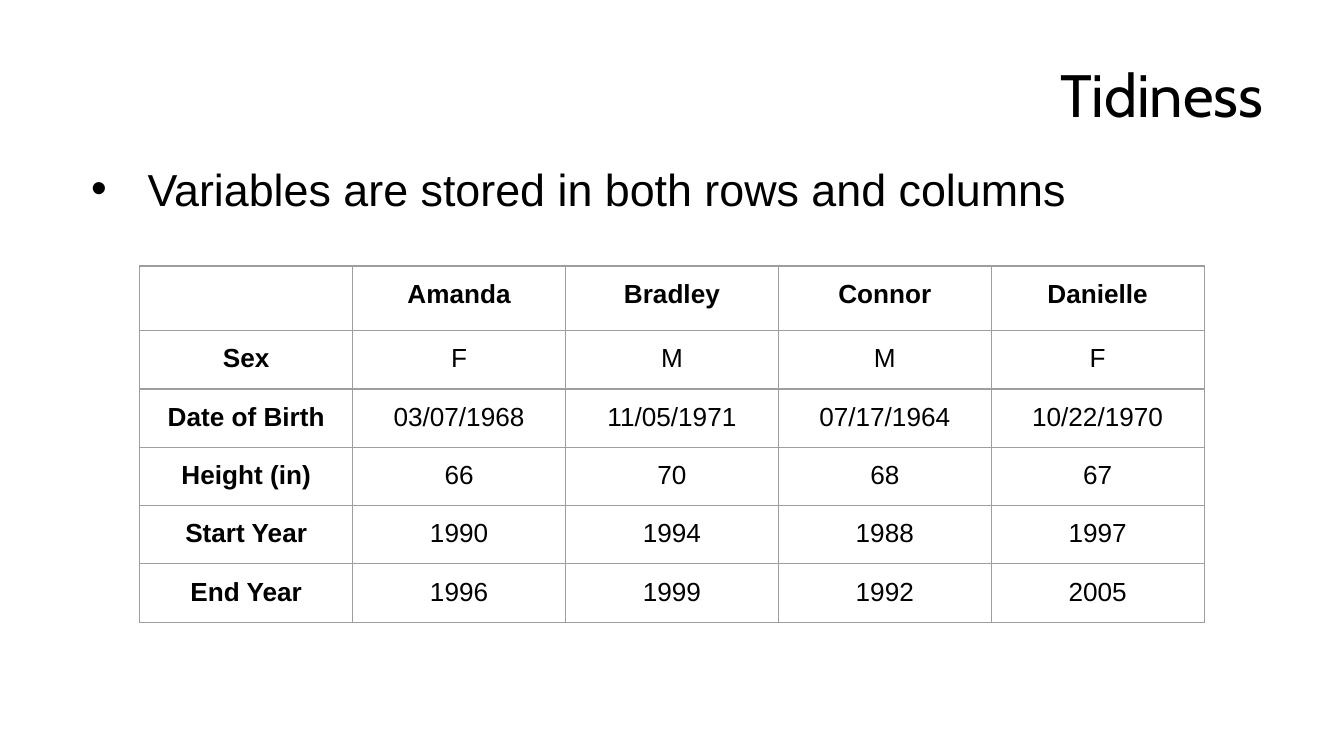
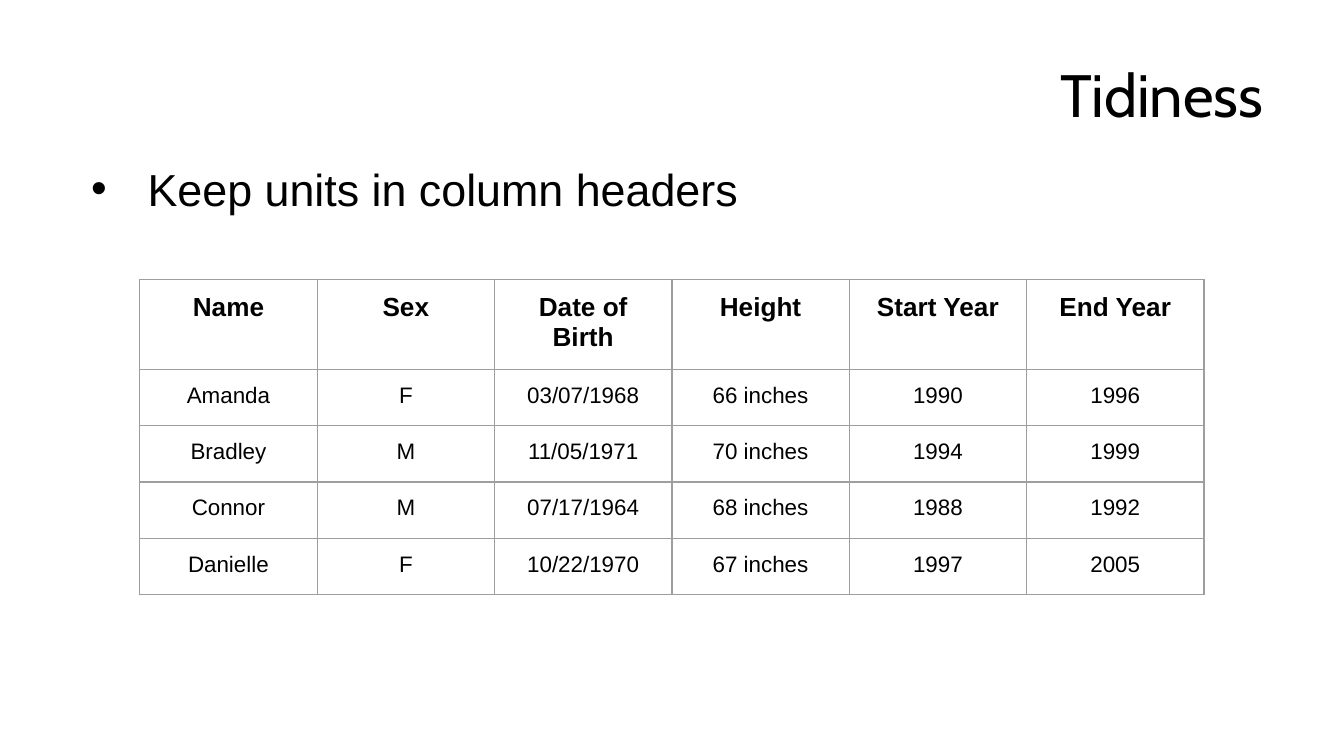
from lxml import etree
from pptx import Presentation
from pptx.dml.color import RGBColor
from pptx.enum.text import MSO_ANCHOR, PP_ALIGN
from pptx.oxml.ns import qn
from pptx.util import Inches, Pt

CENTER, LEFT, RIGHT = PP_ALIGN.CENTER, PP_ALIGN.LEFT, PP_ALIGN.RIGHT
MIDDLE, TOP = MSO_ANCHOR.MIDDLE, MSO_ANCHOR.TOP

BLACK, WHITE, GREY = "000000", "FFFFFF", "9E9E9E"
TITLE_FONT, BODY_FONT = "Cabin", "Arial"
WIDTH, HEIGHT = 10, 5.625
MARGIN = 0.5
TABLE_LEFT = 1.04
ROW_HEIGHT = 0.42
INSET = Inches(0.1)
BORDER_WIDTH = Pt(0.75)

SLIDES = [
    {
        "title": "Tidiness",
        "bullet": "Variables are stored in both rows and columns",
        "top": 1.98,
        "header_height": 0.48,
        "value_size": 14,
        "bold_first_column": True,
        "rows": [
            ("", "Amanda", "Bradley", "Connor", "Danielle"),
            ("Sex", "F", "M", "M", "F"),
            ("Date of Birth", "03/07/1968", "11/05/1971", "07/17/1964", "10/22/1970"),
            ("Height (in)", "66", "70", "68", "67"),
            ("Start Year", "1990", "1994", "1988", "1997"),
            ("End Year", "1996", "1999", "1992", "2005"),
        ],
    },
    {
        "title": "Tidiness",
        "bullet": "Keep units in column headers",
        "top": 2.08,
        "header_height": ROW_HEIGHT,
        "value_size": 12,
        "bold_first_column": False,
        "rows": [
            ("Name", "Sex", "Date of Birth", "Height", "Start Year", "End Year"),
            ("Amanda", "F", "03/07/1968", "66 inches", "1990", "1996"),
            ("Bradley", "M", "11/05/1971", "70 inches", "1994", "1999"),
            ("Connor", "M", "07/17/1964", "68 inches", "1988", "1992"),
            ("Danielle", "F", "10/22/1970", "67 inches", "1997", "2005"),
        ],
    },
]


def color(value):
    return RGBColor.from_string(value)


def set_insets(holder):
    holder.margin_left = holder.margin_right = INSET
    holder.margin_top = holder.margin_bottom = INSET


def format_text(paragraph, size, font, align, bold=False):
    paragraph.alignment = align
    for span in paragraph.runs:
        span.font.size = Pt(size)
        span.font.name = font
        span.font.bold = bold
        span.font.color.rgb = color(BLACK)


def add_text(slide, text, top, height, size, font, align, anchor):
    box = slide.shapes.add_textbox(
        Inches(MARGIN), Inches(top), Inches(WIDTH - 2 * MARGIN), Inches(height))
    frame = box.text_frame
    frame.word_wrap = True
    frame.vertical_anchor = anchor
    set_insets(frame)
    frame.text = text
    format_text(frame.paragraphs[0], size, font, align)
    return frame.paragraphs[0]


def add_solid(parent, value):
    fill = etree.SubElement(parent, qn("a:solidFill"))
    etree.SubElement(fill, qn("a:srgbClr"), val=value)


def add_bullet(paragraph):
    properties = paragraph._p.get_or_add_pPr()
    properties.set("marL", str(Inches(0.5)))
    properties.set("indent", str(Inches(-0.42)))
    bullet_color = etree.SubElement(properties, qn("a:buClr"))
    etree.SubElement(bullet_color, qn("a:srgbClr"), val=BLACK)
    etree.SubElement(properties, qn("a:buFont"), typeface=BODY_FONT)
    etree.SubElement(properties, qn("a:buChar"), char="•")


def add_borders(cell):
    properties = cell._tc.get_or_add_tcPr()
    for side in ("a:lnL", "a:lnR", "a:lnT", "a:lnB"):
        line = etree.SubElement(properties, qn(side), w=str(BORDER_WIDTH))
        add_solid(line, GREY)


def fill_cell(cell, text, size, bold):
    add_borders(cell)
    cell.fill.background()
    if text:
        set_insets(cell)
        cell.text = text
        format_text(cell.text_frame.paragraphs[0], size, BODY_FONT, CENTER, bold)


def add_data_table(slide, content):
    rows = content["rows"]
    width = WIDTH - 2 * TABLE_LEFT
    table = slide.shapes.add_table(
        len(rows), len(rows[0]), Inches(TABLE_LEFT), Inches(content["top"]),
        Inches(width), Inches(ROW_HEIGHT * len(rows))).table
    table.first_row = table.horz_banding = False
    for column in table.columns:
        column.width = Inches(width / len(rows[0]))
    for r, values in enumerate(rows):
        table.rows[r].height = Inches(ROW_HEIGHT if r else content["header_height"])
        size = content["value_size"] if r else 14
        for c, text in enumerate(values):
            bold = r == 0 or (c == 0 and content["bold_first_column"])
            fill_cell(table.cell(r, c), text, size, bold)


def add_slide(deck, content):
    slide = deck.slides.add_slide(deck.slide_layouts[6])
    slide.background.fill.solid()
    slide.background.fill.fore_color.rgb = color(WHITE)
    add_text(slide, content["title"], 0.23, 0.94, 32, TITLE_FONT, RIGHT, MIDDLE)
    add_bullet(add_text(slide, content["bullet"], 1.1, 3.71, 24, BODY_FONT, LEFT, TOP))
    add_data_table(slide, content)


def main():
    deck = Presentation()
    deck.slide_width, deck.slide_height = Inches(WIDTH), Inches(HEIGHT)
    for content in SLIDES:
        add_slide(deck, content)
    deck.save("out.pptx")


if __name__ == "__main__":
    main()
